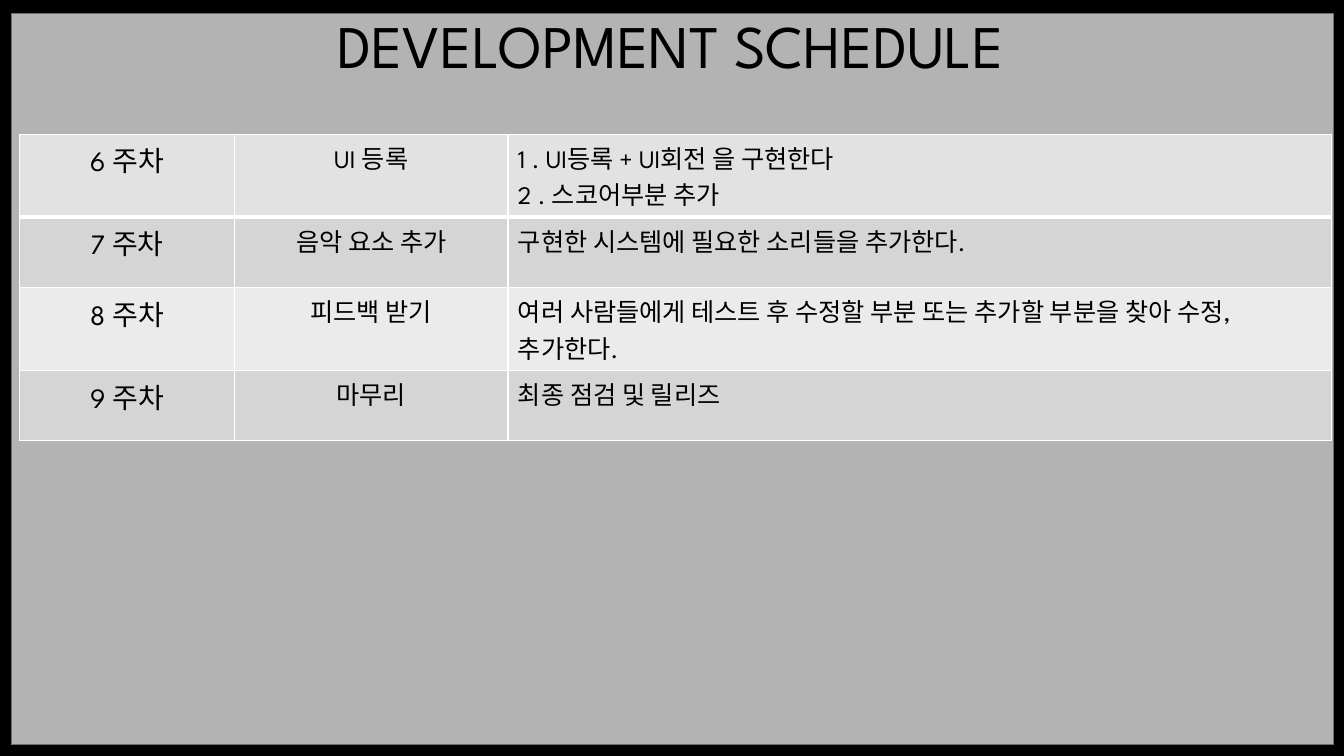
from dataclasses import dataclass

from lxml.etree import SubElement
from pptx import Presentation
from pptx.dml.color import RGBColor
from pptx.enum.shapes import MSO_SHAPE as Preset
from pptx.enum.text import MSO_ANCHOR as Anchor, PP_ALIGN as Align
from pptx.oxml.ns import qn
from pptx.util import Cm, Pt


@dataclass(frozen=True)
class Theme:
    font: str = "League Spartan"
    backdrop: str = "000000"
    panel: str = "FFFFFF"
    panel_alpha: int = 70
    outline: str = "6F6F6F"
    ink: str = "000000"
    border: str = "FFFFFF"
    first_row: str = "E2E2E2"
    bands: tuple = ("EBEBEB", "D5D5D5")
    title_size: float = 43.2
    week_size: float = 20
    body_size: float = 18
    thin: float = 1
    thick: float = 3


THEME = Theme()
COLUMN_WIDTHS = (5.41, 6.89, 20.76)
ROW_HEIGHT = 1.77
SCHEDULE = (
    ("6 주차", "UI 등록", "1 . UI등록 + UI회전 을 구현한다\n2 . 스코어부분 추가"),
    ("7 주차", "음악 요소 추가", "구현한 시스템에 필요한 소리들을 추가한다."),
    ("8 주차", "피드백 받기",
     "여러 사람들에게 테스트 후 수정할 부분 또는 추가할 부분을 찾아 수정, 추가한다."),
    ("9 주차", "마무리", "최종 점검 및 릴리즈"),
)


def color(code):
    return RGBColor.from_string(code)


def write(frame, text, size, align):
    frame.text = text
    for paragraph in frame.paragraphs:
        paragraph.alignment = align
        for run in paragraph.runs:
            run.font.name = THEME.font
            run.font.size = Pt(size)
            run.font.color.rgb = color(THEME.ink)


def add_panel(slide):
    panel = slide.shapes.add_shape(
        Preset.RECTANGLE, Cm(0.28), Cm(0.33), Cm(33.32), Cm(18.44))
    panel.shadow.inherit = False
    panel.fill.solid()
    panel.fill.fore_color.rgb = color(THEME.panel)
    panel.line.color.rgb = color(THEME.outline)
    panel.line.width = Pt(0.75)
    # Let the backdrop show through
    tint = panel.fill._xPr.find(qn("a:solidFill"))[0]
    SubElement(tint, qn("a:alpha"), val=str(THEME.panel_alpha * 1000))


def add_title(slide, text):
    title = slide.shapes.add_textbox(Cm(4.85), Cm(0.33), Cm(24.1), Cm(1.83))
    frame = title.text_frame
    frame.word_wrap = True
    frame.vertical_anchor = Anchor.BOTTOM
    write(frame, text, THEME.title_size, Align.CENTER)


def add_borders(cell, top, bottom):
    properties = cell._tc.get_or_add_tcPr()
    widths = {"L": THEME.thin, "R": THEME.thin, "T": top, "B": bottom}
    for side, width in widths.items():
        edge = SubElement(properties, qn(f"a:ln{side}"), w=str(Pt(width)))
        paint = SubElement(edge, qn("a:solidFill"))
        SubElement(paint, qn("a:srgbClr"), val=THEME.border)


def add_schedule(slide, weeks):
    table = slide.shapes.add_table(
        len(weeks), len(COLUMN_WIDTHS), Cm(0.5), Cm(3.38),
        Cm(sum(COLUMN_WIDTHS)), Cm(ROW_HEIGHT * len(weeks))).table
    table.first_row = table.horz_banding = False
    for column, width in zip(table.columns, COLUMN_WIDTHS):
        column.width = Cm(width)

    column_styles = (
        (THEME.week_size, Align.CENTER),
        (THEME.body_size, Align.CENTER),
        (THEME.body_size, Align.LEFT),
    )
    for index, week in enumerate(weeks):
        table.rows[index].height = Cm(ROW_HEIGHT)
        shade = THEME.bands[index % 2] if index else THEME.first_row
        # A thick rule separates the first week from the rest
        top = THEME.thick if index == 1 else THEME.thin
        bottom = THEME.thick if index == 0 else THEME.thin
        for cell, text, style in zip(table.rows[index].cells, week, column_styles):
            write(cell.text_frame, text, *style)
            add_borders(cell, top, bottom)
            cell.fill.solid()
            cell.fill.fore_color.rgb = color(shade)


def main():
    deck = Presentation()
    deck.slide_width, deck.slide_height = Cm(33.87), Cm(19.05)
    slide = deck.slides.add_slide(deck.slide_layouts[6])

    # Backdrop
    slide.background.fill.solid()
    slide.background.fill.fore_color.rgb = color(THEME.backdrop)
    add_panel(slide)

    # Content
    add_schedule(slide, SCHEDULE)
    add_title(slide, "DEVELOPMENT SCHEDULE")

    deck.save("out.pptx")


if __name__ == "__main__":
    main()
